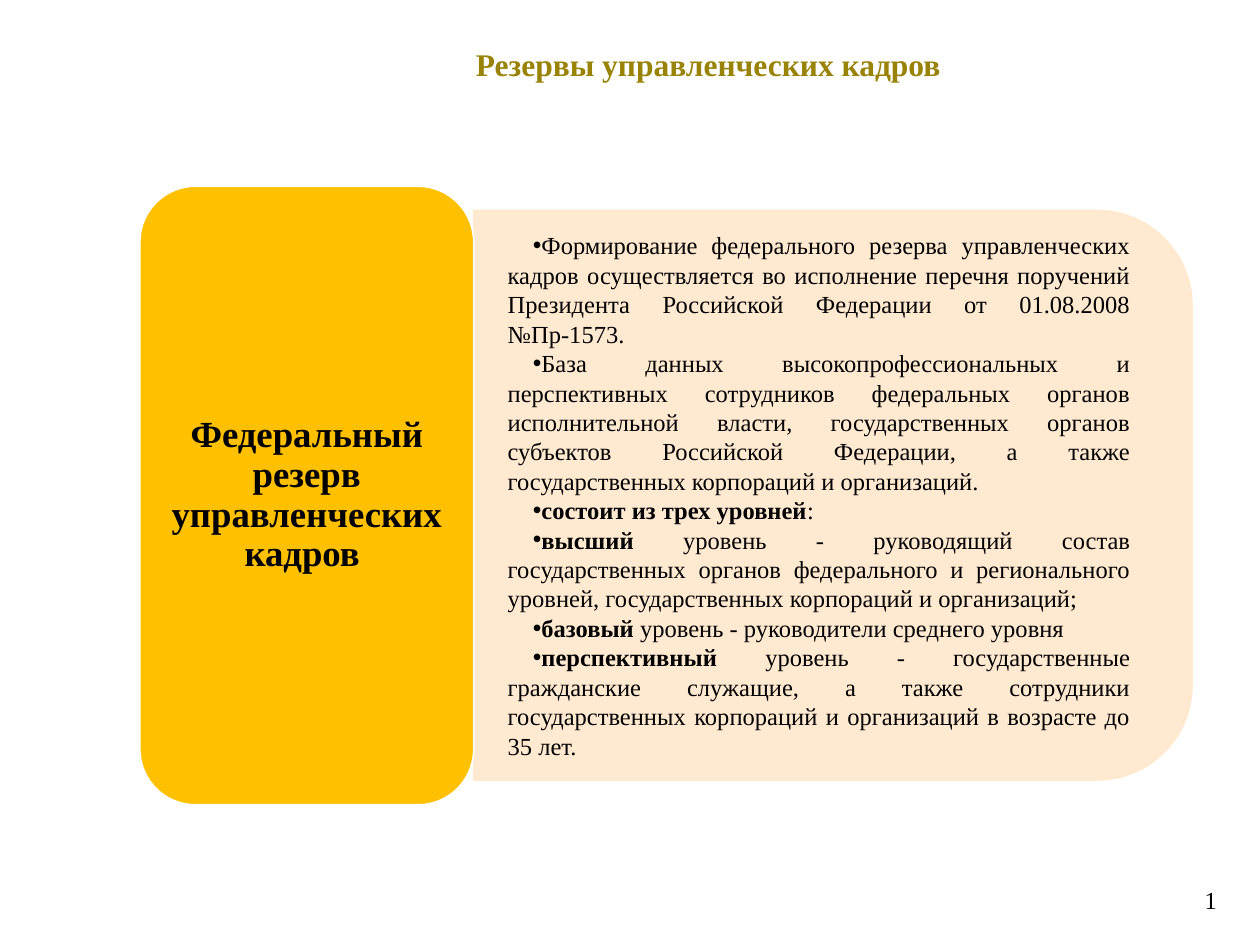
import pptx
import pptx.util
import pptx.dml.color
import pptx.enum.shapes
import pptx.enum.text
import pptx.oxml
import pptx.oxml.ns

Pt = pptx.util.Pt
SHAPE = pptx.enum.shapes.MSO_SHAPE
ALIGN = pptx.enum.text.PP_ALIGN
ANCHOR = pptx.enum.text.MSO_ANCHOR

# Content: each point is a bold lead and a plain rest
TITLE = "Резервы управленческих кадров"
LABEL = "Федеральный резерв управленческих кадров "
NUMBER = "1"
POINTS = [
    ("", "Формирование федерального резерва управленческих кадров осуществляется "
         "во исполнение перечня поручений Президента Российской Федерации "
         "от 01.08.2008 №Пр-1573."),
    ("", "База данных высокопрофессиональных и перспективных сотрудников "
         "федеральных органов исполнительной власти, государственных органов "
         "субъектов Российской Федерации, а также государственных корпораций "
         "и организаций."),
    ("состоит из трех уровней", ":"),
    ("высший", " уровень - руководящий состав государственных органов федерального "
               "и регионального уровней, государственных корпораций и организаций;"),
    ("базовый", " уровень - руководители среднего уровня"),
    ("перспективный", " уровень - государственные гражданские служащие, а также "
                      "сотрудники государственных корпораций и организаций "
                      "в возрасте до 35 лет."),
]
FONT = "Times New Roman"
BLACK, GOLD, AMBER, CREAM, WHITE = "000000", "998307", "FFC000", "FFE8CC", "FFFFFF"


def colour(value):
    return pptx.dml.color.RGBColor.from_string(value)


def place(box, left, top, width, height):
    box.left, box.top, box.width, box.height = map(Pt, (left, top, width, height))


def set_frame(box, anchor, insets):
    frame = box.text_frame
    frame.word_wrap = True
    frame.auto_size = pptx.enum.text.MSO_AUTO_SIZE.NONE
    frame.vertical_anchor = anchor
    (frame.margin_left, frame.margin_top,
     frame.margin_right, frame.margin_bottom) = map(Pt, insets)
    return frame


def style(span, size, ink=BLACK, bold=False):
    span.font.name, span.font.size, span.font.bold = FONT, Pt(size), bold
    span.font.color.rgb = colour(ink)


def add_block(page, kind, bounds, fill, line):
    block = page.shapes.add_shape(kind, *map(Pt, bounds))
    block.shadow.inherit = False
    block.fill.solid()
    block.fill.fore_color.rgb = colour(fill)
    block.line.color.rgb = colour(line)
    block.line.width = Pt(1)
    return block


def add_child(parent, tag, **attributes):
    child = pptx.oxml.parse_xml(f"<a:{tag} {pptx.oxml.ns.nsdecls('a')}/>")
    for key, value in attributes.items():
        child.set(key, value)
    parent.append(child)


deck = pptx.Presentation()
deck.slide_width, deck.slide_height = Pt(720), Pt(540)
page = deck.slides.add_slide(deck.slide_layouts[1])

# Title, raised by one line within its box
title = page.shapes.title
place(title, 128.3, 17.3, 553, 61.2)
frame = set_frame(title, ANCHOR.MIDDLE, (7.2, 3.6, 7.2, 26.4))
frame.text = TITLE
frame.paragraphs[0].alignment = ALIGN.CENTER
style(frame.paragraphs[0].runs[0], 18, GOLD, True)

# Cream panel, turned so that its round corners face right
panel = add_block(page, SHAPE.ROUND_2_SAME_RECTANGLE, (313.2, 77.8, 325.4, 410.4), CREAM, CREAM)
panel.rotation = 90
for ink in panel._element.spPr.iter(pptx.oxml.ns.qn("a:srgbClr")):
    add_child(ink, "alpha", val="90000")

# Bulleted points, in front of the panel
body = page.placeholders[1]
panel._element.addnext(body._element)
place(body, 270.7, 136.1, 394.6, 293.8)
frame = set_frame(body, ANCHOR.MIDDLE, (19.4, 10.1, 19.4, 10.1))
for index, (lead, rest) in enumerate(POINTS):
    para = frame.add_paragraph() if index else frame.paragraphs[0]
    para.alignment = ALIGN.JUSTIFY
    para.space_before = para.space_after = Pt(0)
    for words, bold in ((lead, True), (rest, False)):
        if words:
            span = para.add_run()
            span.text = words
            style(span, 14, bold=bold)
    properties = para._p.get_or_add_pPr()
    properties.set("marL", "0")
    properties.set("indent", str(Pt(14.4)))
    add_child(properties, "buChar", char="•")

# Amber block with its label; narrow insets keep the longest word whole
label = add_block(page, SHAPE.ROUNDED_RECTANGLE, (79.9, 106.4, 190.8, 353.5), AMBER, WHITE)
frame = set_frame(label, ANCHOR.MIDDLE, (6, 3, 6, 3))
frame.text = LABEL
frame.paragraphs[0].alignment = ALIGN.CENTER
frame.paragraphs[0].line_spacing = 0.9
style(frame.paragraphs[0].runs[0], 21, bold=True)

# Page number
number = page.shapes.add_textbox(*map(Pt, (681.3, 502.4, 29.5, 24.5)))
frame = set_frame(number, ANCHOR.TOP, (7.2, 3.6, 7.2, 3.6))
frame.text = NUMBER
style(frame.paragraphs[0].runs[0], 14)

deck.save("out.pptx")
